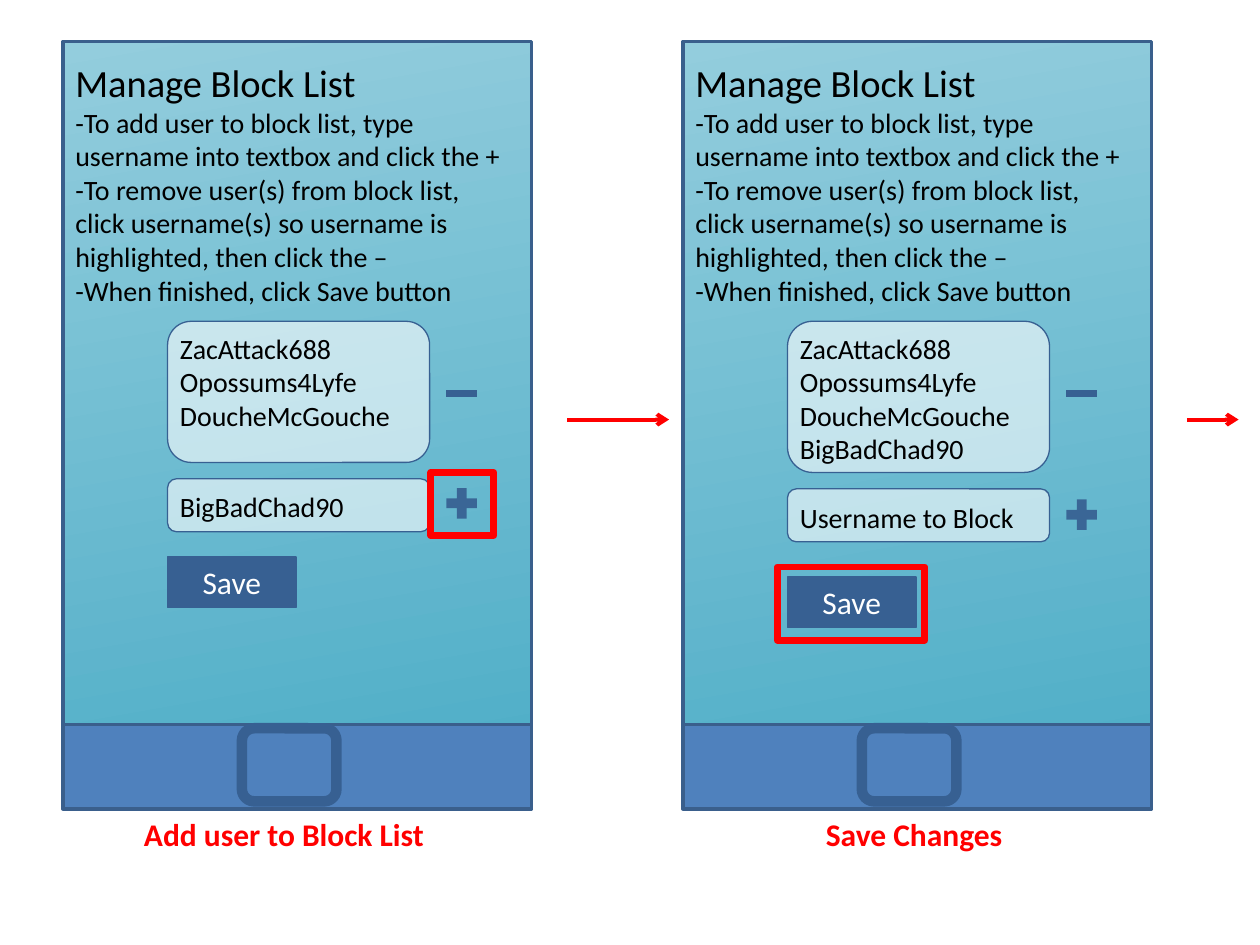
from dataclasses import dataclass

import pptx
import pptx.dml.color
import pptx.enum.shapes
import pptx.enum.text
import pptx.oxml
import pptx.oxml.ns
import pptx.util
from pptx.util import Inches

SHAPE = pptx.enum.shapes.MSO_SHAPE
ALIGN = pptx.enum.text.PP_ALIGN


@dataclass(frozen=True)
class Theme:
    font: str = "Calibri"
    black: str = "000000"
    white: str = "FFFFFF"
    red: str = "FF0000"
    navy: str = "376092"
    frame: str = "3A5F8C"
    bar: str = "4F81BD"
    screen_top: str = "93CDDD"
    screen_bottom: str = "4BACC6"
    heading: int = 22
    label: int = 18
    body: int = 16


THEME = Theme()

INSTRUCTIONS = [
    "Manage Block List",
    "-To add user to block list, type username into textbox and click the +",
    "-To remove user(s) from block list, click username(s) so username is "
    "highlighted, then click the –",
    "-When finished, click Save button",
]
BLOCKED_USERS = ["ZacAttack688", "Opossums4Lyfe", "DoucheMcGouche"]


def rgb(value):
    return pptx.dml.color.RGBColor.from_string(value)


def add_effect_list(properties):
    pptx.oxml.ns.qn("a:effectLst")
    properties.append(pptx.oxml.parse_xml(
        f"<a:effectLst {pptx.oxml.ns.nsdecls('a')}/>"))


def add_box(slide, kind, left, top, width, height, fill=None, opacity=100,
            line=None, line_width=0.75):
    shape = slide.shapes.add_shape(
        kind, Inches(left), Inches(top), Inches(width), Inches(height))
    shape.shadow.inherit = False
    if fill:
        shape.fill.solid()
        shape.fill.fore_color.rgb = rgb(fill)
        if opacity < 100:
            color = shape.fill._xPr.find(".//" + pptx.oxml.ns.qn("a:srgbClr"))
            color.append(pptx.oxml.parse_xml(
                f"<a:alpha {pptx.oxml.ns.nsdecls('a')} val='{opacity * 1000}'/>"))
    else:
        shape.fill.background()
    if line:
        shape.line.color.rgb = rgb(line)
        shape.line.width = pptx.util.Pt(line_width)
    else:
        shape.line.fill.background()
    return shape


def write_text(shape, lines, size, color, align=ALIGN.LEFT, bold=False):
    frame = shape.text_frame
    frame.text = "\n".join(lines)
    frame.word_wrap = True
    frame.auto_size = pptx.enum.text.MSO_AUTO_SIZE.SHAPE_TO_FIT_TEXT
    for paragraph in frame.paragraphs:
        paragraph.alignment = align
        for run in paragraph.runs:
            run.font.name = THEME.font
            run.font.size = pptx.util.Pt(size)
            run.font.bold = bold
            run.font.color.rgb = rgb(color)


def add_text(slide, lines, left, top, width, height, size=THEME.body,
             color=THEME.black, align=ALIGN.LEFT, bold=False):
    box = slide.shapes.add_textbox(
        Inches(left), Inches(top), Inches(width), Inches(height))
    write_text(box, lines, size, color, align, bold)
    return box


def add_arrow(slide, start, end, y):
    arrow = slide.shapes.add_connector(
        pptx.enum.shapes.MSO_CONNECTOR.STRAIGHT,
        Inches(start), Inches(y), Inches(end), Inches(y))
    arrow.line.color.rgb = rgb(THEME.red)
    arrow.line.width = pptx.util.Pt(2.25)
    arrow.line._get_or_add_ln().append(pptx.oxml.parse_xml(
        f"<a:tailEnd {pptx.oxml.ns.nsdecls('a')} type='arrow'/>"))
    add_effect_list(arrow._element.spPr)


def add_highlight(slide, left, top, width, height):
    add_box(slide, SHAPE.RECTANGLE, left, top, width, height,
            line=THEME.red, line_width=4)


def add_field(slide, left, top, height):
    add_box(slide, SHAPE.ROUNDED_RECTANGLE, left, top, 2.08, height,
            THEME.white, 60, THEME.navy)


def add_phone_body(slide, left):
    screen = add_box(slide, SHAPE.RECTANGLE, left, 0.33, 3.72, 6.08,
                     line=THEME.frame, line_width=2)
    screen.fill.gradient()
    screen.fill.gradient_angle = 100
    stops = screen.fill.gradient_stops
    for stop, color in zip(stops, (THEME.screen_bottom, THEME.screen_top)):
        stop.color.rgb = rgb(color)
    add_box(slide, SHAPE.RECTANGLE, left, 5.75, 3.72, 0.67,
            THEME.bar, line=THEME.frame, line_width=2)
    add_box(slide, SHAPE.ROUNDED_RECTANGLE, left + 1.42, 5.78, 0.75, 0.58,
            line=THEME.navy, line_width=6)


def add_phone(slide, left, users, list_height, entry, entry_top, plus_top,
              save_top):
    add_phone_body(slide, left)
    content, icons = left + 0.83, left + 3

    instructions = add_text(slide, INSTRUCTIONS, left, 0.42, 3.67, 2.36)
    heading = instructions.text_frame.paragraphs[0].runs[0]
    heading.font.size = pptx.util.Pt(THEME.heading)

    add_field(slide, content, 2.55, list_height)
    add_text(slide, users, content, 2.58, 2, 0.1 + 0.27 * len(users) + 0.27)
    add_box(slide, SHAPE.MATH_MINUS, icons, 3, 0.33, 0.25, THEME.navy)

    add_field(slide, content, entry_top, 0.42)
    add_text(slide, [entry], content, entry_top + 0.04, 2, 0.37)
    add_box(slide, SHAPE.MATH_PLUS, icons, plus_top, 0.33, 0.33,
            THEME.navy, 92)

    save = add_box(slide, SHAPE.RECTANGLE, content, save_top, 1.02, 0.4,
                   THEME.navy, line=THEME.navy)
    write_text(save, ["Save"], THEME.label, THEME.white, ALIGN.CENTER)


def add_caption(slide, text, left):
    add_text(slide, [text], left, 6.42, 3.67, 0.4, THEME.label, THEME.red,
             ALIGN.CENTER, bold=True)


def main():
    presentation = pptx.Presentation()
    presentation.slide_width = Inches(10)
    presentation.slide_height = Inches(7.5)
    slide = presentation.slides.add_slide(presentation.slide_layouts[6])

    add_phone(slide, 0.5, BLOCKED_USERS, 1.12, "BigBadChad90",
              entry_top=3.8, plus_top=3.83, save_top=4.42)
    add_highlight(slide, 3.42, 3.75, 0.5, 0.5)
    add_caption(slide, "Add user to Block List", 0.42)

    add_phone(slide, 5.42, BLOCKED_USERS + ["BigBadChad90"], 1.2,
              "Username to Block", entry_top=3.88, plus_top=3.92,
              save_top=4.58)
    add_highlight(slide, 6.17, 4.5, 1.17, 0.58)
    add_caption(slide, "Save Changes", 5.42)

    add_arrow(slide, 4.5, 5.31, 3.33)
    add_arrow(slide, 9.42, 9.83, 3.33)
    presentation.save("out.pptx")


if __name__ == "__main__":
    main()
